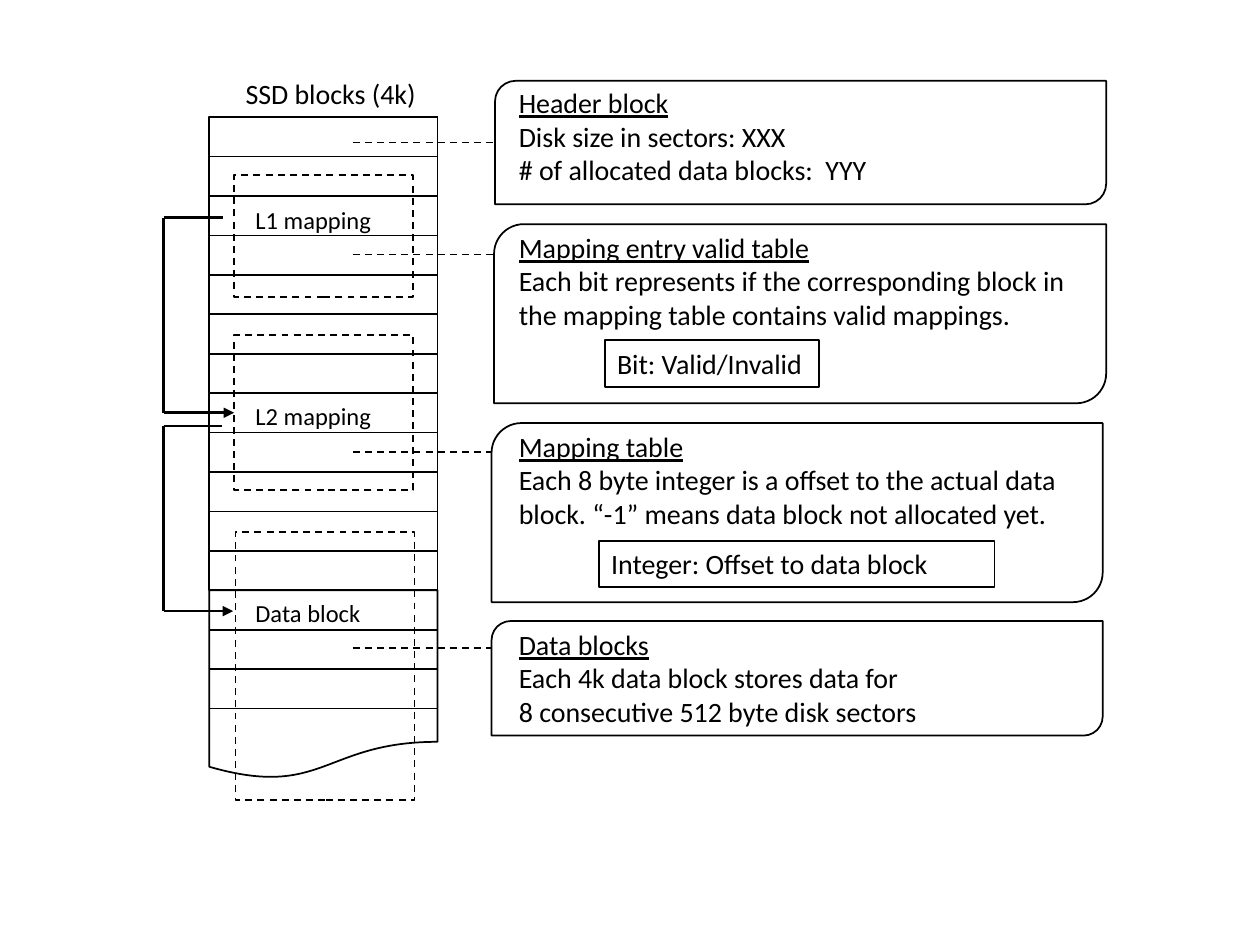
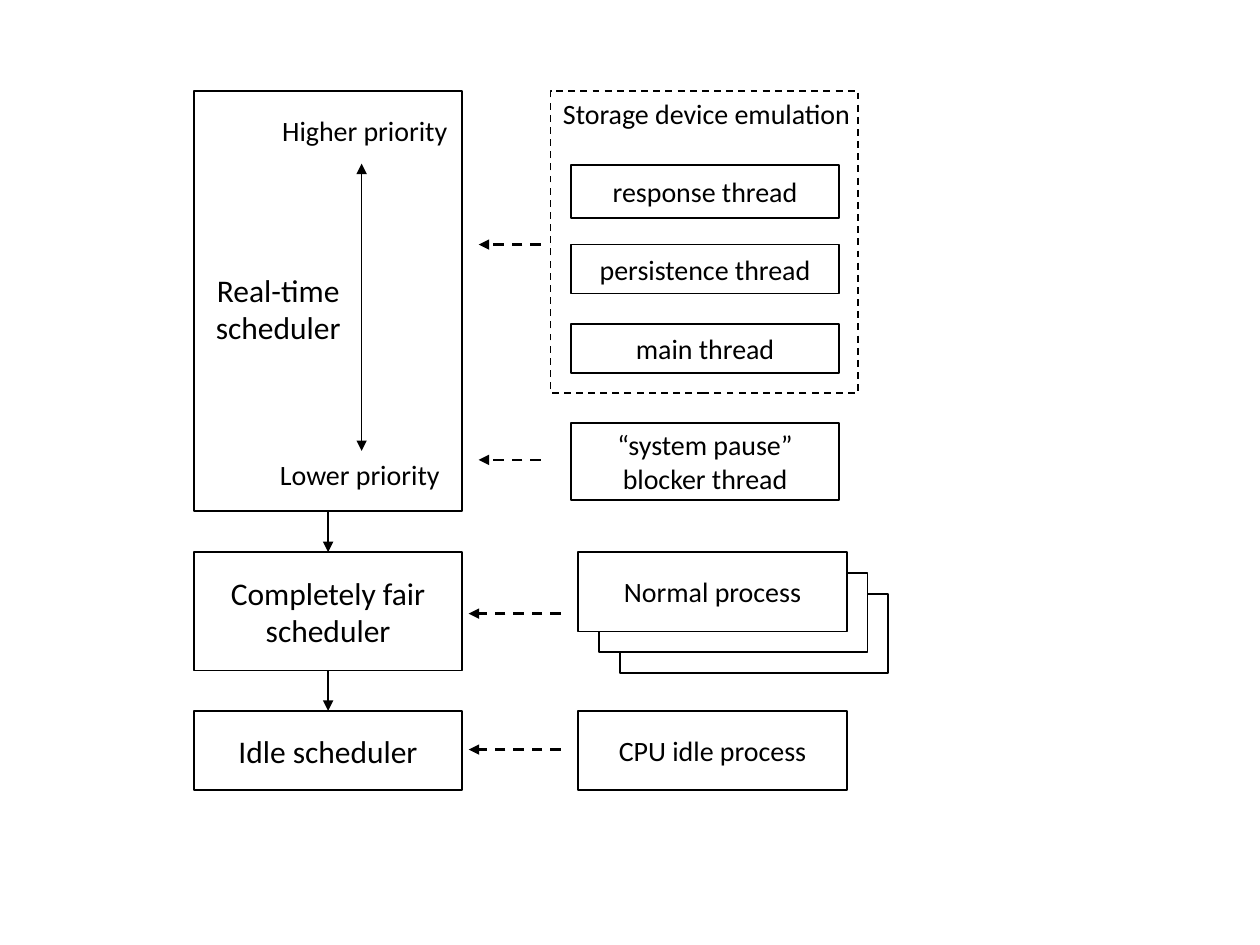
"""Build two diagram slides: an SSD block layout and a scheduler hierarchy."""
import pptx
import pptx.dml.color
import pptx.enum.dml
import pptx.enum.shapes
import pptx.enum.text
import pptx.oxml.xmlchemy
import pptx.util

Cm = pptx.util.Cm
SHAPES = pptx.enum.shapes.MSO_SHAPE
ALIGN = pptx.enum.text.PP_ALIGN
ANCHOR = pptx.enum.text.MSO_ANCHOR
BLACK, WHITE = "000000", "FFFFFF"
THIN, THICK = 1, 1.5
SMALL, NORMAL, LARGE = 14, 16, 18

STACK = {"left": 4.22, "top": 2.36, "width": 4.6, "pitch": 0.795}
BLOCKS, LAST_LINE, TAIL_HEIGHT = 12, 15, 3.81
STACK_TITLE = ("SSD blocks (4k)", (4.7, 1.42, 3.99, 0.94))
LEADER_START = 7.11
PANELS = [
    {"area": (9.98, 1.63, 12.32, 2.49), "leader": 2.87, "text_top": 1.6,
     "lines": ["Header block", "Disk size in sectors: XXX",
               "# of allocated data blocks:  YYY"]},
    {"area": (9.96, 4.52, 12.34, 3.61), "leader": 5.13, "text_top": 4.52,
     "lines": ["Mapping entry valid table",
               "Each bit represents if the corresponding block in the mapping "
               "table contains valid mappings."]},
    {"area": (9.91, 8.53, 12.32, 3.61), "leader": 9.12, "text_top": 8.53,
     "lines": ["Mapping table",
               "Each 8 byte integer is a offset to the actual data block. "
               "“-1” means data block not allocated yet."]},
    {"area": (9.91, 12.52, 12.32, 2.31), "leader": 13.06, "text_top": 12.52,
     "lines": ["Data blocks", "Each 4k data block stores data for",
               "8 consecutive 512 byte disk sectors"]},
]
FIELDS = [
    ("Bit: Valid/Invalid", (12.19, 6.86, 4.32, 0.94)),
    ("Integer: Offset to data block", (12.07, 10.9, 7.98, 0.94)),
]
REGIONS = [
    ("L1 mapping", (4.72, 3.53, 3.61, 2.46), 4.01),
    ("L2 mapping", (4.72, 6.76, 3.61, 3.12), 7.95),
    ("Data block", (4.75, 10.72, 3.61, 5.41), 11.94),
]
LOOP_LEFT = 3.3
LOOPS = [(4.5, 4.39, 4.72, 8.32, "L2 mapping"), (4.47, 8.59, 4.7, 12.32, None)]

BOX_WIDTH = 5.41
SCHEDULER_LEFT, THREAD_LEFT, PROCESS_LEFT = 3.91, 11.51, 11.66
SCHEDULERS = [
    ([], 1.83, 8.48),
    (["Completely fair", "scheduler"], 11.13, 2.39),
    (["Idle scheduler"], 14.33, 1.6),
]
PRIORITY_LABELS = [
    (["Real-time", "scheduler"], (3.91, 5.33, 3.4, 1.8), LARGE),
    (["Higher priority"], (5.31, 2.16, 4.09, 0.94), NORMAL),
    (["Lower priority"], (5.21, 9.09, 4.09, 0.94), NORMAL),
]
PRIORITY_ARROW = ((7.29, 3.3), (7.29, 9.09))
THREADS = [
    (["response thread"], 3.33, 1.07),
    (["persistence thread"], 4.93, 0.99),
    (["main thread"], 6.53, 0.99),
    (["“system pause”", "blocker thread"], 8.53, 1.55),
]
EMULATION = ("Storage device emulation", (11.1, 1.83, 6.2, 6.1), 6.48)
CARD_TOP, CARD_HEIGHT, CARD_STEP, CARD_COUNT = 11.13, 1.6, 0.42, 3
IDLE_TOP = 14.33
ASSIGNMENTS = [(10.9, 9.65, 4.93), (10.9, 9.65, 9.27),
               (11.3, 9.45, 12.37), (11.3, 9.45, 15.11)]


def colour(value):
    return pptx.dml.color.RGBColor.from_string(value)


def apply(target, formats):
    for name, value in formats.items():
        setattr(target, name, value)


def draw_line(line, width, dashed):
    line.color.rgb = colour(BLACK)
    line.width = pptx.util.Pt(width)
    if dashed:
        line.dash_style = pptx.enum.dml.MSO_LINE.DASH


def write(shape, lines, size, align=ALIGN.LEFT, anchor=ANCHOR.TOP, wrap=True, heading=False):
    frame = shape.text_frame
    apply(frame, {"word_wrap": wrap, "vertical_anchor": anchor})
    for index, text in enumerate(lines):
        para = frame.paragraphs[0] if index == 0 else frame.add_paragraph()
        para.alignment = align
        span = para.add_run()
        span.text = text
        apply(span.font, {"name": "Calibri", "size": pptx.util.Pt(size),
                          "underline": heading and index == 0})
        span.font.color.rgb = colour(BLACK)


def add_text(page, lines, area, size=NORMAL, **layout):
    box = page.shapes.add_textbox(*map(Cm, area))
    write(box, lines, size, **layout)


def add_box(page, area, kind=SHAPES.RECTANGLE, fill=None, dashed=False):
    box = page.shapes.add_shape(kind, *map(Cm, area))
    box.shadow.inherit = False
    if fill:
        box.fill.solid()
        box.fill.fore_color.rgb = colour(fill)
    else:
        box.fill.background()
    draw_line(box.line, THIN, dashed)
    return box


def add_centred_box(page, lines, area, size=NORMAL, fill=WHITE):
    box = add_box(page, area, fill=fill)
    write(box, lines, size, ALIGN.CENTER, ANCHOR.MIDDLE)
    return box


def add_line(page, start, end, width=THIN, dashed=False, arrows=()):
    line = page.shapes.add_connector(
        pptx.enum.shapes.MSO_CONNECTOR.STRAIGHT, *map(Cm, start + end))
    draw_line(line.line, width, dashed)
    outline = line.line._get_or_add_ln()
    for arrow in arrows:
        tip = pptx.oxml.xmlchemy.OxmlElement(f"a:{arrow}")
        tip.set("type", "triangle")
        outline.append(tip)
    line._element.spPr.append(pptx.oxml.xmlchemy.OxmlElement("a:effectLst"))
    return line


def build_block_layout(page):
    left, top, width, pitch = STACK.values()
    for row in range(LAST_LINE + 1):
        if row != BLOCKS:
            y = top + row * pitch
            add_line(page, (left, y), (left + width, y))
    height = BLOCKS * pitch
    add_box(page, (left, top, width, height))
    add_box(page, (left, top + height, width, TAIL_HEIGHT), SHAPES.FLOWCHART_DOCUMENT)
    title, area = STACK_TITLE
    add_text(page, [title], area, wrap=False)

    for panel in PANELS:
        add_box(page, panel["area"], SHAPES.ROUND_2_DIAG_RECTANGLE)
        add_text(page, panel["lines"], (10.21, panel["text_top"], 11.9, 2.31), heading=True)
        y = panel["leader"]
        add_line(page, (LEADER_START, y), (panel["area"][0], y), dashed=True)
    for text, area in FIELDS:
        write(add_box(page, area), [text], NORMAL)

    regions = {}
    for label, area, label_top in REGIONS:
        regions[label] = add_box(page, area, dashed=True)
        add_text(page, [label], (4.9, label_top, 3.2, 0.86), SMALL)
    for start_x, start_y, end_x, end_y, target in LOOPS:
        add_line(page, (LOOP_LEFT, start_y), (start_x, start_y), THICK)
        add_line(page, (LOOP_LEFT, end_y), (LOOP_LEFT, start_y), THICK)
        arrow = add_line(page, (LOOP_LEFT, end_y), (end_x, end_y), THICK, arrows=["tailEnd"])
        if target:
            arrow.end_connect(regions[target], 1)


def build_schedulers(page):
    schedulers = [
        add_centred_box(page, lines, (SCHEDULER_LEFT, top, BOX_WIDTH, height), LARGE, None)
        for lines, top, height in SCHEDULERS]
    for upper, lower in zip(schedulers, schedulers[1:]):
        arrow = add_line(page, (0, 0), (1, 1), THICK, arrows=["tailEnd"])
        arrow.begin_connect(upper, 2)
        arrow.end_connect(lower, 0)
    for lines, area, size in PRIORITY_LABELS:
        add_text(page, lines, area, size, align=ALIGN.CENTER)
    add_line(page, *PRIORITY_ARROW, arrows=["headEnd", "tailEnd"])

    for lines, top, height in THREADS:
        add_centred_box(page, lines, (THREAD_LEFT, top, BOX_WIDTH, height))
    title, area, title_width = EMULATION
    add_box(page, area, dashed=True)
    add_text(page, [title], (*area[:2], title_width, 0.94))

    for depth in reversed(range(CARD_COUNT)):
        shift = depth * CARD_STEP
        add_centred_box(page, [] if depth else ["Normal process"],
                        (PROCESS_LEFT + shift, CARD_TOP + shift, BOX_WIDTH, CARD_HEIGHT))
    add_centred_box(page, ["CPU idle process"],
                    (PROCESS_LEFT, IDLE_TOP, BOX_WIDTH, CARD_HEIGHT))
    for start, end, y in ASSIGNMENTS:
        add_line(page, (start, y), (end, y), THICK, True, ["tailEnd"])


def main():
    deck = pptx.Presentation()
    apply(deck, {"slide_width": Cm(25.4), "slide_height": Cm(19.05)})
    for build in (build_block_layout, build_schedulers):
        build(deck.slides.add_slide(deck.slide_layouts[6]))
    deck.save("out.pptx")


if __name__ == "__main__":
    main()
